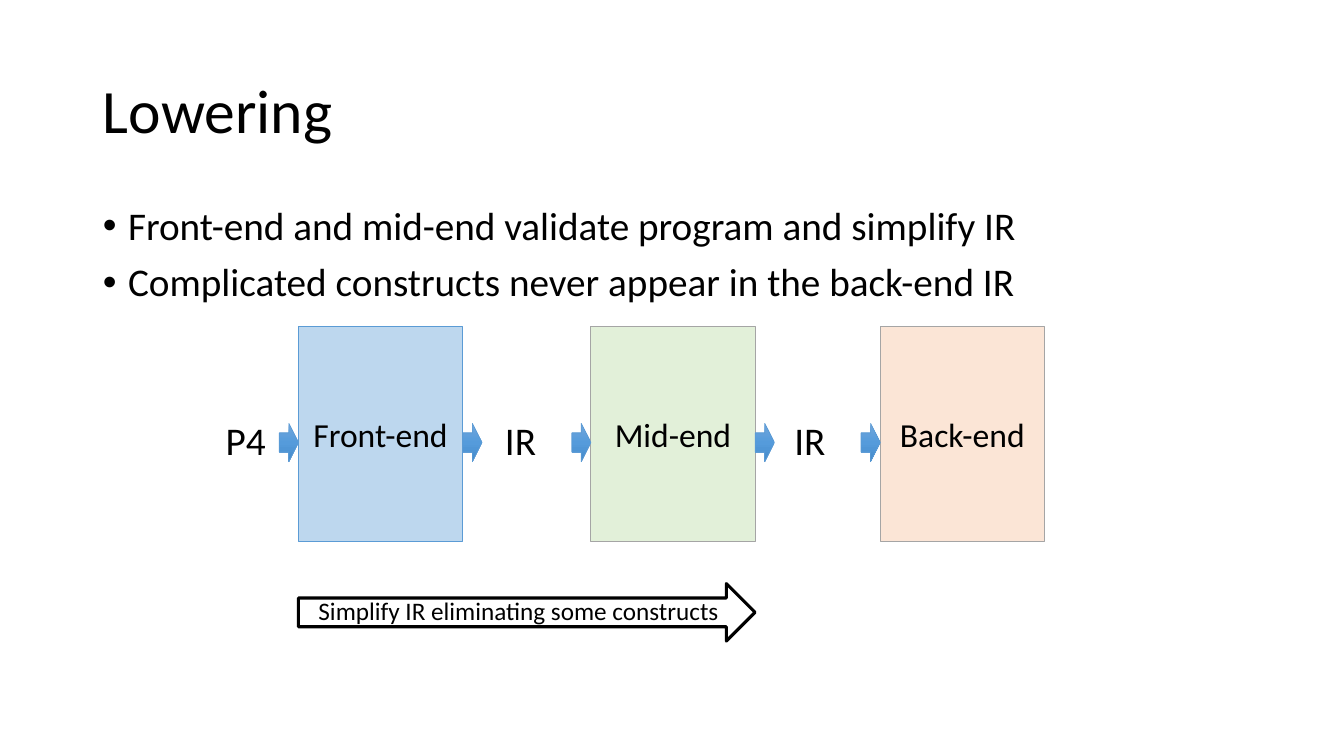
from copy import deepcopy
from dataclasses import dataclass

from lxml.etree import SubElement
from pptx import Presentation
from pptx.dml.color import RGBColor
from pptx.enum.shapes import MSO_SHAPE
from pptx.enum.text import MSO_ANCHOR, MSO_AUTO_SIZE, PP_ALIGN
from pptx.oxml.ns import qn
from pptx.shapes.autoshape import Shape
from pptx.slide import Slide
from pptx.text.text import _Paragraph
from pptx.util import Inches, Pt


@dataclass(frozen=True)
class Theme:
    font: str = "Calibri"
    text: str = "000000"
    paper: str = "FFFFFF"
    blue: str = "5B9BD5"
    gray: str = "A5A5A5"
    arrow_gradient: tuple[str, ...] = ("71A6DB", "559BDB", "448ACA")
    title_size: int = 44
    body_size: int = 28
    stage_size: int = 24
    note_size: int = 18
    thin: float = 0.5
    thick: float = 2.25


@dataclass(frozen=True)
class Stage:
    """A compiler stage, with the language it takes in."""
    name: str
    left: float
    fill: str
    line: str
    source: str
    source_left: float
    source_width: float


THEME = Theme()
STAGES = (
    Stage("Front-end", 2.96, "BDD7EE", THEME.blue, "P4", 2.14, 0.6),
    Stage("Mid-end", 5.86, "E2F0D9", THEME.gray, "IR", 4.91, 0.51),
    Stage("Back-end", 8.73, "FBE5D6", THEME.gray, "IR", 7.78, 0.51),
)
BULLETS = (
    "Front-end and mid-end validate program and simplify IR",
    "Complicated constructs never appear in the back-end IR",
)
STAGE_TOP, STAGE_WIDTH, STAGE_HEIGHT = 3.24, 1.63, 2.13
ARROW_TOP, ARROW_WIDTH, ARROW_HEIGHT = 4.2, 0.19, 0.38


def write(paragraph: _Paragraph, text: str, size: int, align: PP_ALIGN = PP_ALIGN.LEFT) -> None:
    paragraph.text = text
    paragraph.alignment = align
    paragraph.font.name = THEME.font
    paragraph.font.size = Pt(size)
    paragraph.font.color.rgb = RGBColor.from_string(THEME.text)


def place(shape: Shape, left: float, top: float, width: float, height: float) -> None:
    shape.left, shape.top = Inches(left), Inches(top)
    shape.width, shape.height = Inches(width), Inches(height)


def add_outlined(page: Slide, kind: MSO_SHAPE, left: float, top: float, width: float,
                 height: float, line: str, weight: float) -> Shape:
    shape = page.shapes.add_shape(kind, Inches(left), Inches(top), Inches(width), Inches(height))
    shape.shadow.inherit = False
    shape.line.color.rgb = RGBColor.from_string(line)
    shape.line.width = Pt(weight)
    return shape


def fill_solid(shape: Shape, color: str) -> None:
    shape.fill.solid()
    shape.fill.fore_color.rgb = RGBColor.from_string(color)


def add_label(page: Slide, text: str, left: float, top: float, width: float,
              height: float, size: int) -> None:
    box = page.shapes.add_textbox(Inches(left), Inches(top), Inches(width), Inches(height))
    box.text_frame.word_wrap = False
    box.text_frame.auto_size = MSO_AUTO_SIZE.SHAPE_TO_FIT_TEXT
    write(box.text_frame.paragraphs[0], text, size)


def add_stage(page: Slide, stage: Stage) -> None:
    box = add_outlined(page, MSO_SHAPE.RECTANGLE, stage.left, STAGE_TOP, STAGE_WIDTH,
                       STAGE_HEIGHT, stage.line, THEME.thin)
    fill_solid(box, stage.fill)
    box.text_frame.vertical_anchor = MSO_ANCHOR.MIDDLE
    write(box.text_frame.paragraphs[0], stage.name, THEME.stage_size, PP_ALIGN.CENTER)


def add_flow_arrow(page: Slide, left: float) -> None:
    arrow = add_outlined(page, MSO_SHAPE.RIGHT_ARROW, left, ARROW_TOP, ARROW_WIDTH,
                         ARROW_HEIGHT, THEME.blue, THEME.thin)
    arrow.fill.gradient()
    arrow.fill.gradient_angle = 270
    stop_list = arrow.element.spPr.find(f".//{qn('a:gsLst')}")
    stop_list.insert(1, deepcopy(stop_list[0]))
    for index, (stop, color) in enumerate(zip(arrow.fill.gradient_stops, THEME.arrow_gradient)):
        stop.position = index / 2
        stop.color.rgb = RGBColor.from_string(color)


def fill_title(page: Slide) -> None:
    title = page.shapes.title
    place(title, 0.92, 0.4, 11.5, 1.45)
    title.text_frame.vertical_anchor = MSO_ANCHOR.MIDDLE
    title.text_frame.auto_size = MSO_AUTO_SIZE.NONE
    paragraph = title.text_frame.paragraphs[0]
    paragraph.line_spacing = 0.9
    write(paragraph, "Lowering", THEME.title_size)


def fill_body(page: Slide) -> None:
    body = page.placeholders[1]
    place(body, 0.92, 2, 11.5, 4.76)
    frame = body.text_frame
    frame.auto_size = MSO_AUTO_SIZE.NONE
    for index, text in enumerate(BULLETS):
        paragraph = frame.add_paragraph() if index else frame.paragraphs[0]
        properties = paragraph._p.get_or_add_pPr()
        properties.set("marL", str(Inches(0.25)))
        properties.set("indent", str(Inches(-0.25)))
        SubElement(properties, qn("a:buFont"), typeface="Arial")
        SubElement(properties, qn("a:buChar"), char="•")
        paragraph.line_spacing = 0.9
        paragraph.space_before = Pt(10 if index else 0)
        write(paragraph, text, THEME.body_size)


def add_simplify_arrow(page: Slide) -> None:
    first, middle = STAGES[:2]
    arrow = add_outlined(page, MSO_SHAPE.RIGHT_ARROW, first.left, 5.79,
                         middle.left + STAGE_WIDTH - first.left, 0.57, THEME.text, THEME.thick)
    fill_solid(arrow, THEME.paper)
    add_label(page, "Simplify IR eliminating some constructs", 3.06, 5.86, 4.22, 0.4,
              THEME.note_size)


def main() -> None:
    deck = Presentation()
    deck.slide_width, deck.slide_height = Inches(13.33), Inches(7.5)
    page = deck.slides.add_slide(deck.slide_layouts[1])
    fill_title(page)
    fill_body(page)
    for stage in STAGES:
        add_stage(page, stage)
        add_label(page, stage.source, stage.source_left, 4.08, stage.source_width, 0.57,
                  THEME.body_size)
        add_flow_arrow(page, stage.left - ARROW_WIDTH)
    for stage in STAGES[:-1]:
        add_flow_arrow(page, stage.left + STAGE_WIDTH)
    add_simplify_arrow(page)
    deck.save("out.pptx")


if __name__ == "__main__":
    main()
